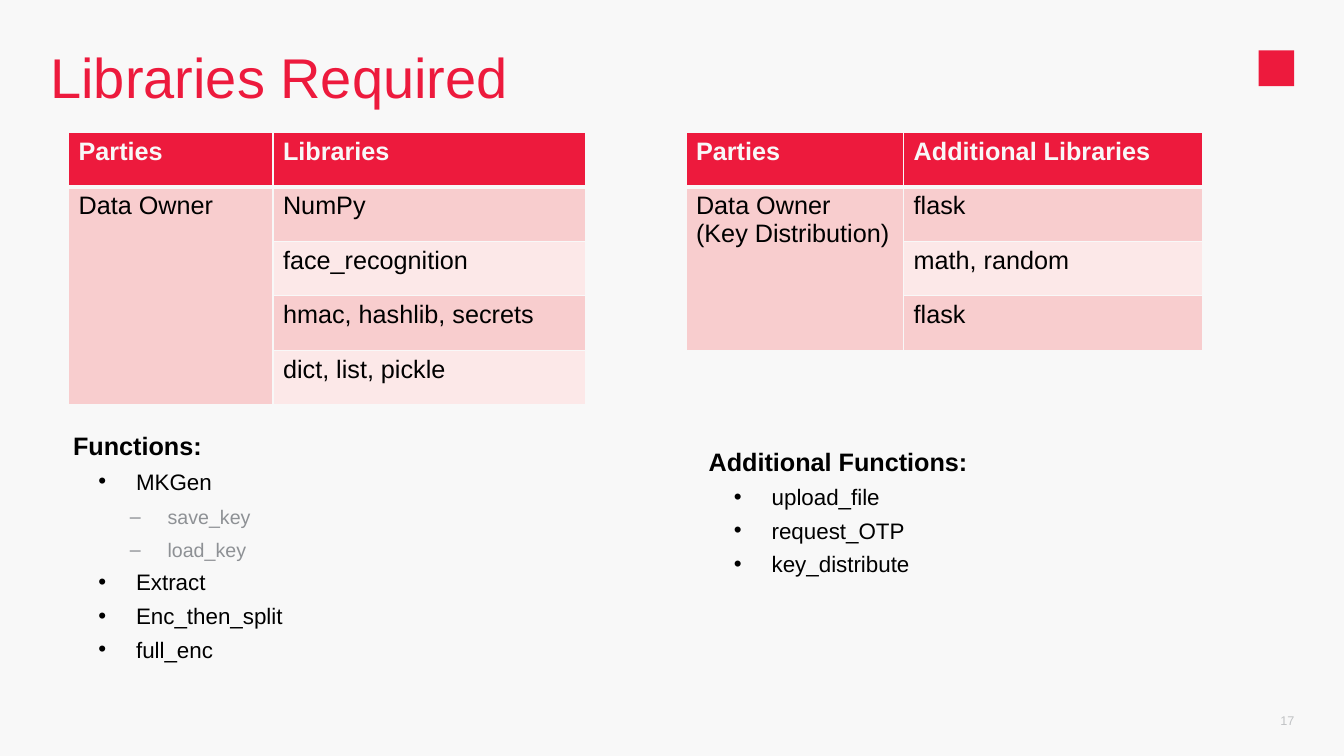
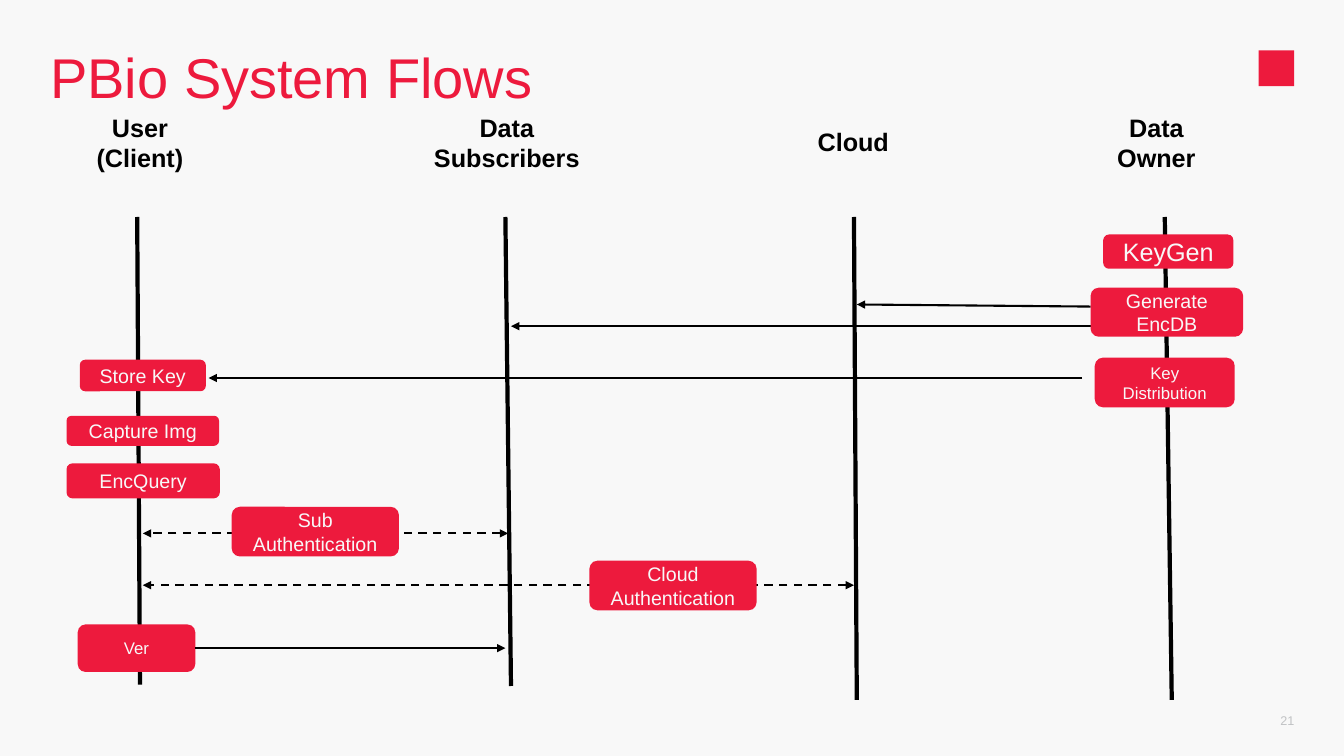
"""Build two slides: the libraries each party needs and the system message flows."""
from lxml.etree import SubElement
from pptx import Presentation
from pptx.dml.color import RGBColor
from pptx.enum.dml import MSO_LINE
from pptx.enum.shapes import MSO_CONNECTOR, MSO_SHAPE
from pptx.enum.text import MSO_ANCHOR as Anchor, MSO_AUTO_SIZE as AutoSize, PP_ALIGN as Align
from pptx.oxml.ns import qn
from pptx.util import Pt

rgb = RGBColor.from_string
RED, PAPER, BLACK = "ED1A3D", "F8F8F8", "000000"
GREY, PALE_GREY = "8E9195", "C0C2C4"
BANDS = ["FCE8E8", "F8CDCE"]


def style_text(frame, size, colour, align=Align.LEFT, bold=False):
    frame.word_wrap = True
    for paragraph in frame.paragraphs:
        paragraph.alignment = align
        paragraph.font.name = "Arial"
        paragraph.font.size = Pt(size)
        paragraph.font.bold = bold
        paragraph.font.color.rgb = rgb(colour)


def draw_line(slide, start, end, width=1.5, heads=(), dashed=False):
    line = slide.shapes.add_connector(MSO_CONNECTOR.STRAIGHT, *map(Pt, start + end))
    line.line.color.rgb = rgb(BLACK)
    line.line.width = Pt(width)
    if dashed:
        line.line.dash_style = MSO_LINE.DASH
    for head in heads:
        SubElement(line.line._get_or_add_ln(), qn(f"a:{head}")).set("type", "triangle")
    SubElement(line._element.spPr, qn("a:effectLst"))
    return line


prs = Presentation()
prs.slide_width, prs.slide_height = Pt(960), Pt(540)
background = prs.slide_master.background.fill
background.solid()
background.fore_color.rgb = rgb(PAPER)

libraries = prs.slides.add_slide(prs.slide_layouts[3])
flows = prs.slides.add_slide(prs.slide_layouts[5])

for slide, heading, heading_width, page in [
    (libraries, "Libraries Required", 858, "17"),
    (flows, "PBio System Flows", 425.5, "21"),
]:
    title = slide.shapes.title
    title.left, title.top, title.width, title.height = map(Pt, (36, 36, heading_width, 44))
    frame = title.text_frame
    frame.text = heading
    frame.margin_left = frame.margin_top = frame.margin_right = frame.margin_bottom = 0
    frame.vertical_anchor = Anchor.TOP
    frame.auto_size = AutoSize.NONE
    frame.paragraphs[0].line_spacing = 0.9
    style_text(frame, 40, RED)

    emblem = slide.shapes.add_shape(MSO_SHAPE.RECTANGLE, Pt(899), Pt(36), Pt(25.5), Pt(25.5))
    emblem.shadow.inherit = False
    emblem.fill.solid()
    emblem.fill.fore_color.rgb = rgb(RED)
    emblem.line.fill.background()

    frame = slide.shapes.add_textbox(Pt(894), Pt(500), Pt(30.5), Pt(29)).text_frame
    frame.text = page
    frame.margin_right = 0
    frame.vertical_anchor = Anchor.MIDDLE
    style_text(frame, 9, PALE_GREY, Align.RIGHT)

ROW_HEIGHT = 38.9
for left, widths, header, party, names in [
    (49, (146, 223), "Libraries", "Data Owner",
     ["NumPy", "face_recognition", "hmac, hashlib, secrets", "dict, list, pickle"]),
    (490, (155.5, 213.5), "Additional Libraries", "Data Owner\n(Key Distribution)",
     ["flask", "math, random", "flask"]),
]:
    rows = [("Parties", header), (party, names[0])] + [("", name) for name in names[1:]]
    table = libraries.shapes.add_table(
        len(rows), 2, Pt(left), Pt(94.5), Pt(sum(widths)), Pt(ROW_HEIGHT * len(rows))).table
    for column, width in zip(table.columns, widths):
        column.width = Pt(width)
    for r, texts in enumerate(rows):
        table.rows[r].height = Pt(ROW_HEIGHT)
        for c, text in enumerate(texts):
            cell = table.cell(r, c)
            cell.text = text
            style_text(cell.text_frame, 18, BLACK if r else PAPER, bold=r == 0)
            properties = cell._tc.get_or_add_tcPr()
            for side in ("lnL", "lnR", "lnT", "lnB"):
                under_header = (r, side) in [(0, "lnB"), (1, "lnT")]
                border = SubElement(properties, qn(f"a:{side}"), w=str(Pt(3 if under_header else 1)))
                SubElement(SubElement(border, qn("a:solidFill")), qn("a:srgbClr"), val=PAPER)
            cell.fill.solid()
            cell.fill.fore_color.rgb = rgb(BANDS[r % 2] if r else RED)
    table.cell(1, 0).merge(table.cell(len(rows) - 1, 0))

LEVELS = [
    (9, 0, None, 18, BLACK),
    (54, -27, "•", 16, BLACK),
    (76.5, -27, "–", 14, GREY),
]
for index, left, top, height, items in [
    (1, 36, 298, 217, [("Functions:", 0), ("MKGen", 1), ("save_key", 2), ("load_key", 2),
                       ("Extract", 1), ("Enc_then_split", 1), ("full_enc", 1)]),
    (2, 490, 309, 206, [("Additional Functions:", 0), ("upload_file", 1),
                        ("request_OTP", 1), ("key_distribute", 1)]),
]:
    body = libraries.placeholders[index]
    body.left, body.top, body.width, body.height = map(Pt, (left, top, 300, height))
    frame = body.text_frame
    frame.text = "\n".join(text for text, level in items)
    frame.margin_left = frame.margin_top = frame.margin_right = frame.margin_bottom = Pt(7.2)
    frame.auto_size = AutoSize.NONE
    for paragraph, (text, level) in zip(frame.paragraphs, items):
        margin, indent, bullet, size, colour = LEVELS[level]
        paragraph.level = level
        paragraph.line_spacing = Pt(24)
        paragraph.space_before = Pt(0)
        properties = paragraph._p.get_or_add_pPr()
        properties.set("marL", str(Pt(margin)))
        properties.set("indent", str(Pt(indent)))
        if bullet:
            SubElement(properties, qn("a:buChar"), char=bullet)
        else:
            SubElement(properties, qn("a:buNone"))
    style_text(frame, 16, BLACK)
    for paragraph, (text, level) in zip(frame.paragraphs, items):
        paragraph.font.size = Pt(LEVELS[level][3])
        paragraph.font.color.rgb = rgb(LEVELS[level][4])
        paragraph.font.bold = level == 0

for party, left, top, height, start_x, end_x, end_y in [
    ("User\n(Client)", 11, 76.5, 51, 98, 100, 489),
    ("Data\nSubscribers", 273, 76.5, 51, 361, 365, 490),
    ("Cloud", 520.5, 87, 29, 610, 612, 500),
    ("Data\nOwner", 737, 76.5, 51, 832, 837, 500),
]:
    draw_line(flows, (start_x, 155), (end_x, end_y), 3)
    frame = flows.shapes.add_textbox(Pt(left), Pt(top), Pt(178), Pt(height)).text_frame
    frame.text = party
    style_text(frame, 18, BLACK, Align.CENTER, True)

ONE_WAY, BOTH_WAYS = ["tailEnd"], ["headEnd", "tailEnd"]
for start, end, heads in [
    ((779, 219), (612, 217.5), ONE_WAY),
    ((779, 233), (365, 233), ONE_WAY),
    ((773, 270), (149, 270), ONE_WAY),
    ((363, 381), (102, 381), BOTH_WAYS),
    ((610, 418), (102, 418), BOTH_WAYS),
]:
    draw_line(flows, start, end, heads=heads, dashed=heads == BOTH_WAYS)

for step, left, top, width, height, size in [
    ("KeyGen", 788, 167.5, 93, 24.5, 18),
    ("Generate EncDB", 779, 205.5, 109, 35, 14),
    ("Key Distribution", 782, 255.5, 100, 35.5, 12),
    ("Store Key", 57, 257, 90, 22.5, 14),
    ("Capture Img", 47.5, 297, 109, 21.5, 14),
    ("EncQuery", 47.5, 331, 109.5, 25, 14),
    ("Sub\nAuthentication", 165.5, 362, 119.5, 35.5, 14),
    ("Cloud Authentication", 421, 400.5, 119.5, 35.5, 14),
    ("Ver", 55.5, 446, 84, 34, 12),
]:
    box = flows.shapes.add_shape(
        MSO_SHAPE.ROUNDED_RECTANGLE, Pt(left), Pt(top), Pt(width), Pt(height))
    box.shadow.inherit = False
    box.fill.solid()
    box.fill.fore_color.rgb = rgb(RED)
    box.line.fill.background()
    box.text_frame.text = step
    box.text_frame.vertical_anchor = Anchor.MIDDLE
    style_text(box.text_frame, size, PAPER, Align.CENTER)
    if step == "Ver":
        verification = draw_line(flows, (139.5, 463), (361, 463), heads=ONE_WAY)
        verification.begin_connect(box, 3)

prs.save("out.pptx")
